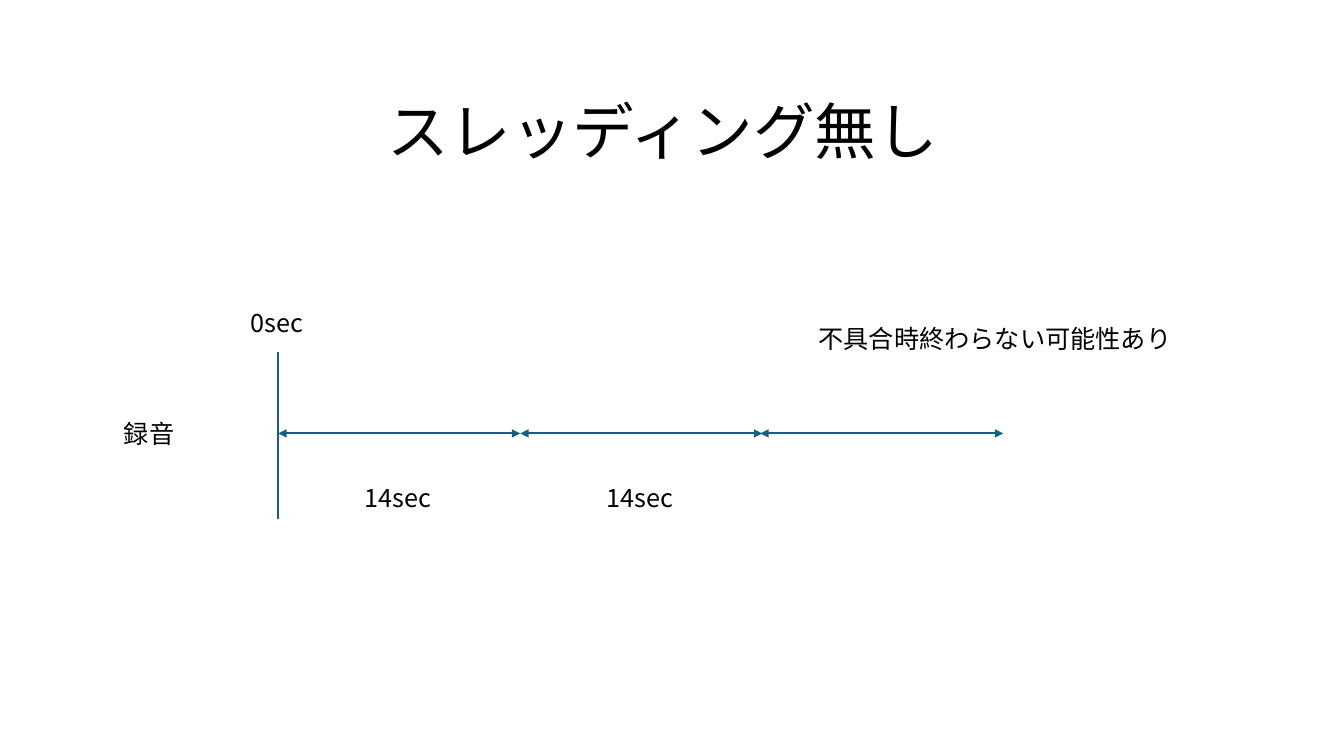
"""Build the recording timeline slide without threading."""
from dataclasses import dataclass

from lxml import etree
from pptx import Presentation
from pptx.dml.color import RGBColor
from pptx.enum.shapes import MSO_CONNECTOR
from pptx.enum.text import MSO_AUTO_SIZE
from pptx.oxml.ns import qn
from pptx.slide import Slide
from pptx.util import Emu, Pt

STRAIGHT = MSO_CONNECTOR.STRAIGHT
GROW = MSO_AUTO_SIZE.SHAPE_TO_FIT_TEXT
BLACK = RGBColor(0x00, 0x00, 0x00)
TEAL = RGBColor(0x15, 0x60, 0x82)
FONT = "Noto Sans CJK JP"
SCALE = 9144
ZERO = 276
AXIS = 430
STEP = 240


@dataclass(frozen=True)
class Label:
    text: str
    left: int
    top: int
    width: int
    height: int = 40
    size: int = 18
    wrap: bool = False


@dataclass(frozen=True)
class Line:
    left: int
    top: int
    right: int
    bottom: int
    arrow: bool = True


LINES = [
    Line(ZERO, 349, ZERO, 515, arrow=False),
    Line(ZERO, AXIS, ZERO + STEP, AXIS),
    Line(ZERO + STEP, AXIS, ZERO + 2 * STEP, AXIS),
    Line(754, AXIS, 995, AXIS),
]
LABELS = [
    Label("スレッディング無し", 375, 87, 596, 84, 44, True),
    Label("録音", 113, 410, 71),
    Label("0sec", 239, 300, 74),
    *(Label("14sec", 352 + STEP * turn, 474, 88) for turn in range(2)),
    Label("不具合時終わらない可能性あり", 802, 316, 467, wrap=True),
]


def px(count: int) -> Emu:
    """Turn px into EMU."""
    return Emu(count * SCALE)


def add_line(slide: Slide, line: Line) -> None:
    """Draw a line, with heads at both ends if it is an arrow."""
    shape = slide.shapes.add_connector(
        STRAIGHT, px(line.left), px(line.top), px(line.right), px(line.bottom)
    )
    shape.line.color.rgb = TEAL
    shape.line.width = Pt(1.5)
    if line.arrow:
        stroke = shape.line._get_or_add_ln()
        for end in ("a:headEnd", "a:tailEnd"):
            etree.SubElement(stroke, qn(end), type="triangle")
    etree.SubElement(shape._element.spPr, qn("a:effectLst"))


def add_label(slide: Slide, label: Label) -> None:
    """Place a label in a text box."""
    box = slide.shapes.add_textbox(
        px(label.left), px(label.top), px(label.width), px(label.height)
    )
    frame = box.text_frame
    frame.word_wrap = label.wrap
    frame.auto_size = GROW
    run = frame.paragraphs[0].add_run()
    run.text = label.text
    run.font.size = Pt(label.size)
    run.font.color.rgb = BLACK
    run.font.name = FONT
    etree.SubElement(run.font._element, qn("a:ea"), typeface=FONT)


def main() -> None:
    """Build and save the slide."""
    deck = Presentation()
    deck.slide_width, deck.slide_height = px(1333), px(750)
    slide = deck.slides.add_slide(deck.slide_layouts[6])
    for line in LINES:
        add_line(slide, line)
    for label in LABELS:
        add_label(slide, label)
    deck.save("out.pptx")


if __name__ == "__main__":
    main()
